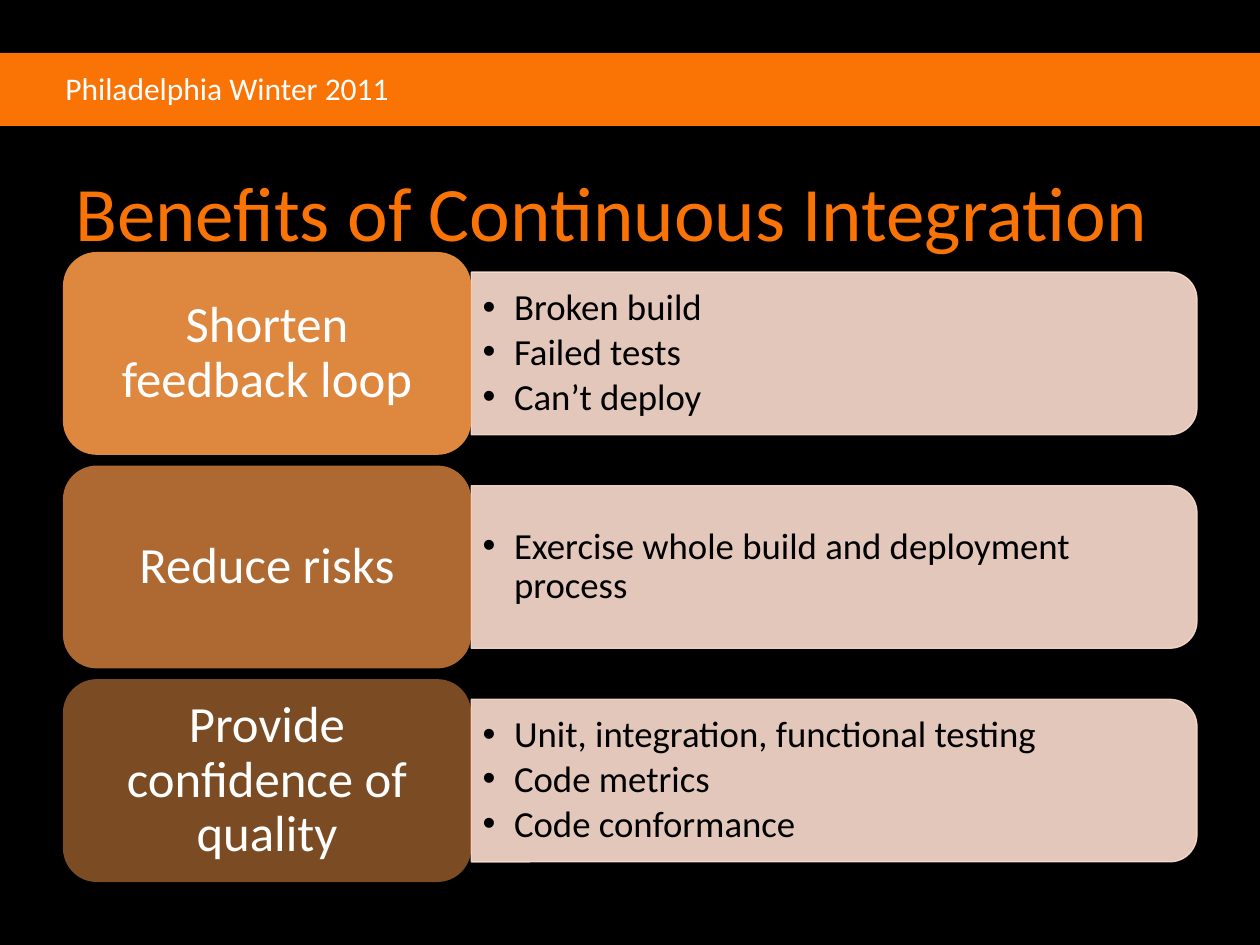
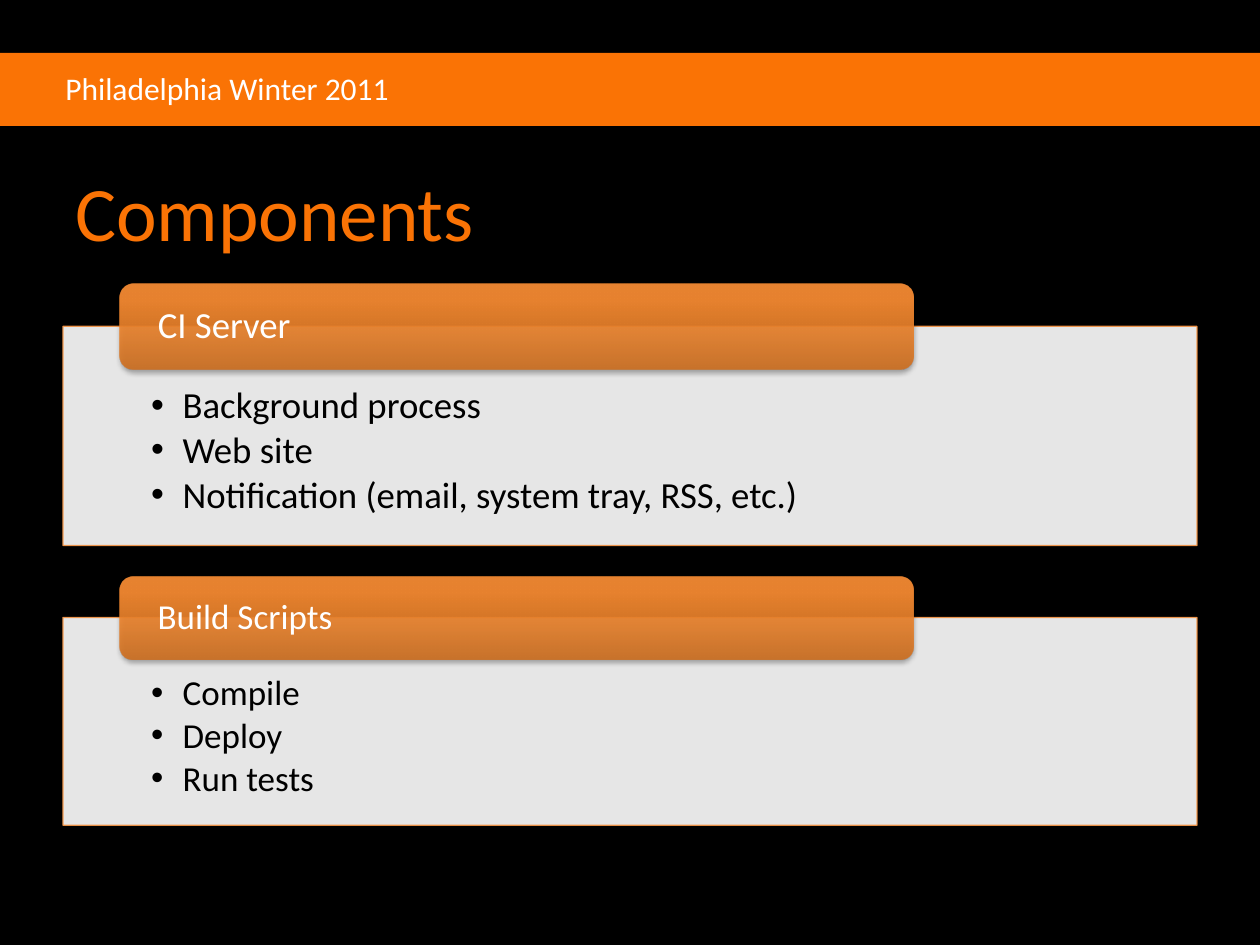
from dataclasses import dataclass

import pptx
import pptx.dml.color
import pptx.enum.shapes
import pptx.enum.text
import pptx.oxml
import pptx.oxml.ns
import pptx.presentation
import pptx.shapes.autoshape
import pptx.shapes.base
import pptx.slide
import pptx.text.text
import pptx.util
from lxml import etree
from pptx.enum.shapes import MSO_SHAPE
from pptx.enum.text import MSO_ANCHOR, PP_ALIGN
from pptx.util import Inches


@dataclass(frozen=True)
class Theme:
    font: str = "Calibri"
    background: str = "000000"
    accent: str = "FA7305"
    block: str = "F79646"
    panel: str = "FCDDCF"
    light: str = "FFFFFF"
    dark: str = "000000"
    tab_stops: tuple[tuple[int, str], ...] = ((0, "CC6E20"), (80, "FF9034"), (100, "FF9136"))
    opacity: int = 90
    title_size: float = 44
    header_size: float = 18
    label_size: float = 29
    body_size: float = 21
    small_size: float = 20
    line_width: float = 0.75


THEME = Theme()


@dataclass(frozen=True)
class Box:
    left: float
    top: float
    width: float
    height: float

    def lengths(self) -> tuple[int, ...]:
        return tuple(Inches(value) for value in (self.left, self.top, self.width, self.height))


@dataclass(frozen=True)
class TextStyle:
    size: float
    color: str
    anchor: MSO_ANCHOR = MSO_ANCHOR.MIDDLE
    align: PP_ALIGN = PP_ALIGN.LEFT
    insets: tuple[float, float, float, float] = (0.1, 0.05, 0.1, 0.05)
    bullets: bool = False
    line_spacing: float = 0.9
    wrap: bool = True


@dataclass(frozen=True)
class Benefit:
    label: str
    points: tuple[str, ...]
    opacity: int


@dataclass(frozen=True)
class Component:
    label: str
    points: tuple[str, ...]
    tab: Box
    panel: Box
    size: float
    top_inset: float


BENEFITS = (
    Benefit("Shorten feedback loop", ("Broken build", "Failed tests", "Can’t deploy"), 90),
    Benefit("Reduce risks", ("Exercise whole build and deployment process",), 70),
    Benefit("Provide confidence of quality",
            ("Unit, integration, functional testing", "Code metrics", "Code conformance"), 50),
)

COMPONENTS = (
    Component("CI Server",
              ("Background process", "Web site", "Notification (email, system tray, RSS, etc.)"),
              Box(0.95, 2.25, 6.3, 0.68), Box(0.5, 2.59, 9, 1.74), THEME.body_size, 0.48),
    Component("Build Scripts", ("Compile", "Deploy", "Run tests"),
              Box(0.95, 4.58, 6.3, 0.65), Box(0.5, 4.9, 9, 1.65), THEME.small_size, 0.46),
)


def rgb(value: str) -> pptx.dml.color.RGBColor:
    return pptx.dml.color.RGBColor.from_string(value)


def add_element(parent: etree._Element, tag: str, **attributes: object) -> etree._Element:
    element = etree.SubElement(parent, pptx.oxml.ns.qn(tag))
    for name, value in attributes.items():
        element.set(name, str(value))
    return element


def add_color(parent: etree._Element, color: str, opacity: int) -> None:
    color_element = add_element(parent, "a:srgbClr", val=color)
    add_element(color_element, "a:alpha", val=opacity * 1000)


def set_opacity(properties: etree._Element, opacity: int) -> None:
    for color_element in properties.iter(pptx.oxml.ns.qn("a:srgbClr")):
        add_element(color_element, "a:alpha", val=opacity * 1000)


def add_block(slide: pptx.slide.Slide, kind: MSO_SHAPE, box: Box, fill: str,
              opacity: int = 100, line: str | None = None) -> pptx.shapes.autoshape.Shape:
    shape = slide.shapes.add_shape(kind, *box.lengths())
    shape.shadow.inherit = False
    shape.fill.solid()
    shape.fill.fore_color.rgb = rgb(fill)
    if line:
        shape.line.color.rgb = rgb(line)
        shape.line.width = pptx.util.Pt(THEME.line_width)
    else:
        shape.line.fill.background()
    if opacity < 100:
        set_opacity(shape.element.spPr, opacity)
    return shape


def add_bullet(paragraph: pptx.text.text._Paragraph) -> None:
    properties = paragraph._p.get_or_add_pPr()
    properties.set("marL", str(Inches(0.25)))
    properties.set("indent", str(Inches(-0.25)))
    add_element(properties, "a:buFont", typeface="Arial")
    add_element(properties, "a:buChar", char="•")


def write(shape: pptx.shapes.autoshape.Shape, lines: tuple[str, ...], style: TextStyle) -> None:
    frame = shape.text_frame
    frame.word_wrap = style.wrap
    frame.vertical_anchor = style.anchor
    frame.margin_left, frame.margin_top, frame.margin_right, frame.margin_bottom = (
        Inches(inset) for inset in style.insets)
    frame.text = "\n".join(lines)
    for paragraph in frame.paragraphs:
        if style.bullets:
            add_bullet(paragraph)
            paragraph.space_after = pptx.util.Pt(round(style.size * 0.14, 1))
        paragraph.alignment = style.align
        paragraph.line_spacing = style.line_spacing
        for run in paragraph.runs:
            run.font.name = THEME.font
            run.font.size = pptx.util.Pt(style.size)
            run.font.color.rgb = rgb(style.color)


def add_text(slide: pptx.slide.Slide, box: Box, lines: tuple[str, ...], style: TextStyle) -> None:
    write(slide.shapes.add_textbox(*box.lengths()), lines, style)


def add_titled_slide(presentation: pptx.presentation.Presentation, title: str) -> pptx.slide.Slide:
    slide = presentation.slides.add_slide(presentation.slide_layouts[6])
    slide.background.fill.solid()
    slide.background.fill.fore_color.rgb = rgb(THEME.background)
    add_block(slide, MSO_SHAPE.RECTANGLE, Box(0, 0.42, 10, 0.58), THEME.accent)
    add_text(slide, Box(0.42, 0.5, 2.8, 0.4), ("Philadelphia Winter 2011",),
             TextStyle(THEME.header_size, THEME.light, MSO_ANCHOR.TOP, line_spacing=1, wrap=False))
    add_text(slide, Box(0.5, 1.17, 9, 1), (title,),
             TextStyle(THEME.title_size, THEME.accent, line_spacing=1))
    return slide


def add_benefit(slide: pptx.slide.Slide, benefit: Benefit, top: float, height: float) -> None:
    label_left, label_width = 0.5, 3.24
    panel_left, panel_width, panel_height = label_left + label_width, 5.76, 1.29
    center_x, center_y = panel_left + panel_width / 2, top + height / 2

    # The panel is drawn upright and turned so its rounded corners face right.
    upright = Box(center_x - panel_height / 2, center_y - panel_width / 2,
                  panel_height, panel_width)
    panel = add_block(slide, MSO_SHAPE.ROUND_2_SAME_RECTANGLE, upright, THEME.panel,
                      THEME.opacity, THEME.panel)
    panel.rotation = 90
    add_text(slide, Box(panel_left, center_y - 0.58, 5.7, 1.16), benefit.points,
             TextStyle(THEME.body_size, THEME.dark, insets=(0.09, 0.04, 0.09, 0.04), bullets=True))

    label = add_block(slide, MSO_SHAPE.ROUNDED_RECTANGLE,
                      Box(label_left, top, label_width, height), THEME.block, benefit.opacity)
    write(label, (benefit.label,),
          TextStyle(THEME.label_size, THEME.light, align=PP_ALIGN.CENTER,
                    insets=(0.2, 0.14, 0.2, 0.14)))


def style_tab(tab: pptx.shapes.autoshape.Shape) -> None:
    """Give a tab its vertical gradient and soft shadow."""
    tab.fill.gradient()
    tab.fill.gradient_angle = 90
    properties = tab.element.spPr
    stops = properties.find(".//" + pptx.oxml.ns.qn("a:gsLst"))
    for stop in list(stops):
        stops.remove(stop)
    for position, color in THEME.tab_stops:
        add_color(add_element(stops, "a:gs", pos=position * 1000), color, THEME.opacity)
    effects = properties.find(pptx.oxml.ns.qn("a:effectLst"))
    shadow = add_element(effects, "a:outerShdw", blurRad=pptx.util.Pt(3.1),
                         dist=pptx.util.Pt(1.8), dir=90 * 60000, rotWithShape=0)
    add_color(shadow, THEME.dark, 35)


def add_component(slide: pptx.slide.Slide, component: Component) -> None:
    panel = add_block(slide, MSO_SHAPE.RECTANGLE, component.panel, THEME.light,
                      THEME.opacity, THEME.block)
    write(panel, component.points,
          TextStyle(component.size, THEME.dark, MSO_ANCHOR.TOP,
                    insets=(0.7, component.top_inset, 0.7, 0.16), bullets=True))
    tab = add_block(slide, MSO_SHAPE.ROUNDED_RECTANGLE, component.tab, THEME.block)
    style_tab(tab)
    write(tab, (component.label,),
          TextStyle(component.size, THEME.light, insets=(0.27, 0.03, 0.27, 0.03)))


def main() -> None:
    presentation = pptx.Presentation()
    presentation.slide_width, presentation.slide_height = Inches(10), Inches(7.5)

    benefits_slide = add_titled_slide(presentation, "Benefits of Continuous Integration")
    first_top, total_height, row_height = 2, 5, 1.61
    row_step = (total_height - row_height) / (len(BENEFITS) - 1)
    for index, benefit in enumerate(BENEFITS):
        add_benefit(benefits_slide, benefit, first_top + index * row_step, row_height)

    components_slide = add_titled_slide(presentation, "Components")
    for component in COMPONENTS:
        add_component(components_slide, component)

    presentation.save("out.pptx")


if __name__ == "__main__":
    main()
